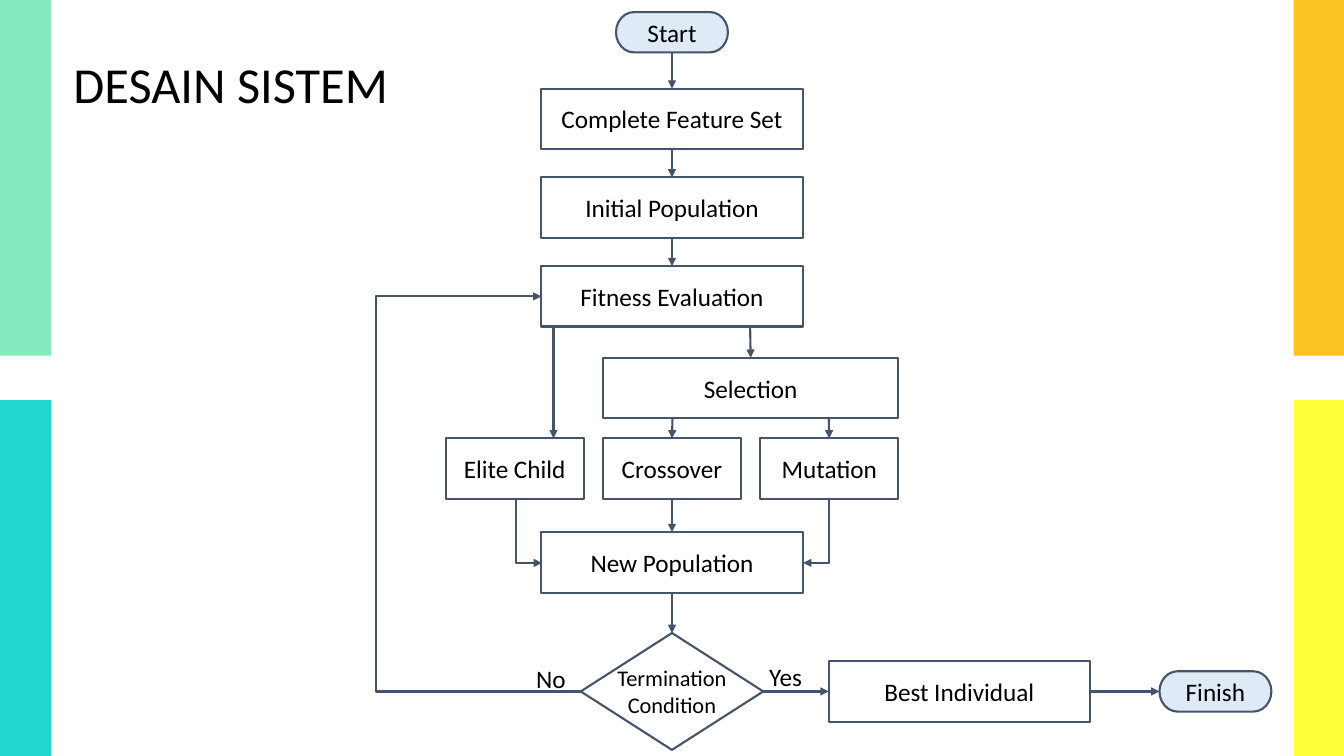
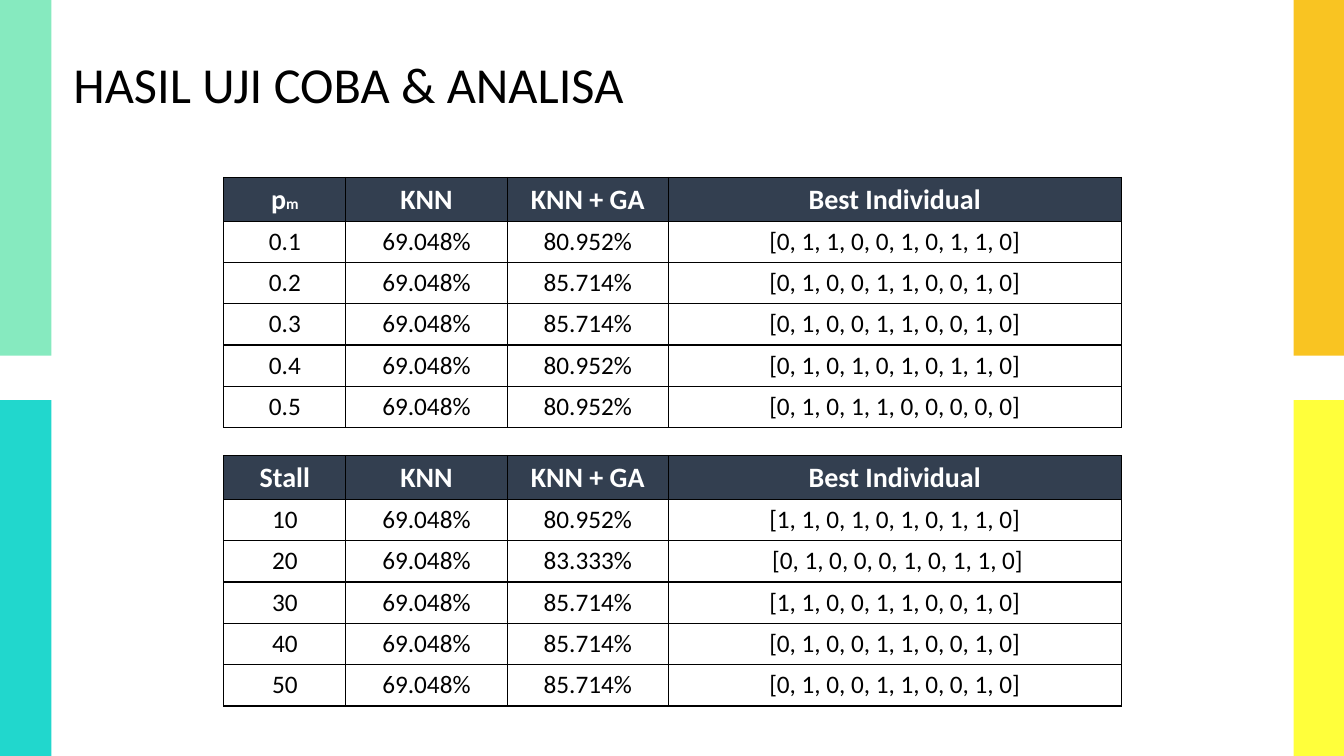
"""Build two slides: a feature selection flowchart and its test result tables."""
from lxml.etree import SubElement
from pptx import Presentation
from pptx.dml.color import RGBColor
from pptx.enum.shapes import MSO_CONNECTOR, MSO_SHAPE
from pptx.enum.text import MSO_ANCHOR, PP_ALIGN
from pptx.oxml.ns import qn
from pptx.util import Inches, Pt

FONT = "Calibri"
BLACK, WHITE = "000000", "FFFFFF"
OUTLINE, TERMINATOR_FILL, HEADER_FILL = "44546A", "DEEBF7", "333F50"
BANDS = [
    (0, 0, "86EABF"),
    (0, 3.97, "21D7CD"),
    (12.83, 0, "F9C422"),
    (12.83, 3.97, "FFFF3B"),
]


def write_text(text_frame, text, size, alignment=PP_ALIGN.CENTER, color=BLACK, bold=False):
    """Fill a text frame and set the font of its paragraphs."""
    text_frame.text = text
    for paragraph in text_frame.paragraphs:
        paragraph.alignment = alignment
        paragraph.font.name = FONT
        paragraph.font.size = Pt(size)
        paragraph.font.bold = bold
        paragraph.font.color.rgb = RGBColor.from_string(color)


def add_arrow(slide, kind, start, end):
    """Add a connector with an arrowhead at its end."""
    arrow = slide.shapes.add_connector(kind, *[Inches(value) for value in (*start, *end)])
    arrow.line.color.rgb = RGBColor.from_string(OUTLINE)
    arrow.line.width = Pt(1.5)
    properties = arrow._element.spPr
    SubElement(properties.find(qn("a:ln")), qn("a:tailEnd"), type="triangle")
    SubElement(properties, qn("a:effectLst"))
    return arrow


presentation = Presentation()
presentation.slide_width = Inches(13.33)
presentation.slide_height = Inches(7.5)

slides = []
for title, title_width in [("DESAIN SISTEM", 8.23), ("HASIL UJI COBA & ANALISA", 11.79)]:
    slide = presentation.slides.add_slide(presentation.slide_layouts[6])
    slides.append(slide)
    for left, top, color in BANDS:
        band = slide.shapes.add_shape(
            MSO_SHAPE.RECTANGLE, Inches(left), Inches(top), Inches(0.51), Inches(3.53))
        band.shadow.inherit = False
        band.fill.solid()
        band.fill.fore_color.rgb = RGBColor.from_string(color)
        band.line.fill.background()
    title_box = slide.shapes.add_textbox(
        Inches(0.63), Inches(0.51), Inches(title_width), Inches(0.73))
    title_frame = title_box.text_frame
    title_frame.word_wrap = True
    title_frame.vertical_anchor = MSO_ANCHOR.BOTTOM
    title_frame.margin_top = title_frame.margin_bottom = Inches(0.1)
    write_text(title_frame, title, 36, PP_ALIGN.JUSTIFY)
    title_frame.paragraphs[0].line_spacing = 0.9

flowchart_slide, results_slide = slides

STEP, END, DECISION = (
    MSO_SHAPE.RECTANGLE, MSO_SHAPE.FLOWCHART_TERMINATOR, MSO_SHAPE.FLOWCHART_DECISION)
NODES = [
    ("Start", END, 6.11, 0.12, 1.11, 0.4),
    ("Complete Feature Set", STEP, 5.37, 0.88, 2.59, 0.6),
    ("Initial Population", STEP, 5.37, 1.76, 2.59, 0.6),
    ("Fitness Evaluation", STEP, 5.37, 2.64, 2.59, 0.6),
    ("Selection", STEP, 5.98, 3.55, 2.93, 0.6),
    ("Elite Child", STEP, 4.42, 4.35, 1.37, 0.6),
    ("Crossover", STEP, 5.98, 4.35, 1.37, 0.6),
    ("Mutation", STEP, 7.54, 4.35, 1.37, 0.6),
    ("New Population", STEP, 5.37, 5.28, 2.59, 0.6),
    ("Termination\nCondition", DECISION, 5.76, 6.28, 1.81, 1.16),
    ("Best Individual", STEP, 8.22, 6.56, 2.59, 0.6),
    ("Finish", END, 11.5, 6.66, 1.11, 0.4),
]
nodes = {}
for text, preset, *box in NODES:
    node = flowchart_slide.shapes.add_shape(preset, *[Inches(value) for value in box])
    nodes[text] = node
    node.shadow.inherit = False
    if preset == END:
        node.fill.solid()
        node.fill.fore_color.rgb = RGBColor.from_string(TERMINATOR_FILL)
    else:
        node.fill.background()
    node.line.color.rgb = RGBColor.from_string(OUTLINE)
    node.line.width = Pt(1.5)
    node.text_frame.word_wrap = False
    node.text_frame.vertical_anchor = MSO_ANCHOR.MIDDLE
    write_text(node.text_frame, text, 16 if preset == DECISION else 18)

TOP, LEFT, BOTTOM, RIGHT = range(4)
JOINED = [
    ("Start", BOTTOM, "Complete Feature Set", TOP),
    ("Complete Feature Set", BOTTOM, "Initial Population", TOP),
    ("Initial Population", BOTTOM, "Fitness Evaluation", TOP),
    ("Crossover", BOTTOM, "New Population", TOP),
    ("New Population", BOTTOM, "Termination\nCondition", TOP),
    ("Termination\nCondition", RIGHT, "Best Individual", LEFT),
    ("Best Individual", RIGHT, "Finish", LEFT),
]
for source, source_side, target, target_side in JOINED:
    arrow = add_arrow(flowchart_slide, MSO_CONNECTOR.STRAIGHT, (0, 0), (1, 1))
    arrow.begin_connect(nodes[source], source_side)
    arrow.end_connect(nodes[target], target_side)

for x, top, bottom, target in [
    (7.44, 3.24, 3.55, "Selection"),
    (6.67, 4.15, 4.35, "Crossover"),
    (8.22, 4.15, 4.35, "Mutation"),
]:
    arrow = add_arrow(flowchart_slide, MSO_CONNECTOR.STRAIGHT, (x, top), (x, bottom))
    arrow.end_connect(nodes[target], TOP)
add_arrow(flowchart_slide, MSO_CONNECTOR.STRAIGHT, (5.49, 3.24), (5.49, 4.35))

for start, end, degrees in [((5.56, 5.14), (4.93, 5.4), 270), ((7.78, 5.14), (8.41, 5.4), 90)]:
    corner = add_arrow(flowchart_slide, MSO_CONNECTOR.ELBOW, start, end)
    corner._element.spPr.find(qn("a:xfrm")).set("rot", str(degrees * 60000))
    corner._element.spPr.find(qn("a:prstGeom")).set("prst", "bentConnector2")

loop = add_arrow(flowchart_slide, MSO_CONNECTOR.ELBOW, (5.76, 6.86), (5.37, 2.94))
loop.begin_connect(nodes["Termination\nCondition"], LEFT)
loop.end_connect(nodes["Fitness Evaluation"], LEFT)
adjustments = loop._element.spPr.find(qn("a:prstGeom")).find(qn("a:avLst"))
SubElement(adjustments, qn("a:gd"), name="adj1", fmla="val 520000")

for text, left, top, width in [("Yes", 7.53, 6.51, 0.53), ("No", 5.22, 6.53, 0.5)]:
    label = flowchart_slide.shapes.add_textbox(
        Inches(left), Inches(top), Inches(width), Inches(0.4))
    label.text_frame.word_wrap = False
    write_text(label.text_frame, text, 18, PP_ALIGN.LEFT)

COLUMN_WIDTHS = [1.21, 1.6, 1.6, 4.49]
HEADINGS = ["KNN", "KNN + GA", "Best Individual"]
BASELINE = "69.048%"
TABLES = [
    (1.76, "p", [
        ("0.1", "80.952%", "[0, 1, 1, 0, 0, 1, 0, 1, 1, 0]"),
        ("0.2", "85.714%", "[0, 1, 0, 0, 1, 1, 0, 0, 1, 0]"),
        ("0.3", "85.714%", "[0, 1, 0, 0, 1, 1, 0, 0, 1, 0]"),
        ("0.4", "80.952%", "[0, 1, 0, 1, 0, 1, 0, 1, 1, 0]"),
        ("0.5", "80.952%", "[0, 1, 0, 1, 1, 0, 0, 0, 0, 0]"),
    ]),
    (4.52, "Stall", [
        ("10", "80.952%", "[1, 1, 0, 1, 0, 1, 0, 1, 1, 0]"),
        ("20", "83.333%", " [0, 1, 0, 0, 0, 1, 0, 1, 1, 0]"),
        ("30", "85.714%", "[1, 1, 0, 0, 1, 1, 0, 0, 1, 0]"),
        ("40", "85.714%", "[0, 1, 0, 0, 1, 1, 0, 0, 1, 0]"),
        ("50", "85.714%", "[0, 1, 0, 0, 1, 1, 0, 0, 1, 0]"),
    ]),
]
tables = []
for top, parameter, results in TABLES:
    rows = [[parameter, *HEADINGS]]
    rows += [[value, BASELINE, accuracy, best] for value, accuracy, best in results]
    table = results_slide.shapes.add_table(
        len(rows), len(COLUMN_WIDTHS), Inches(2.22), Inches(top),
        Inches(sum(COLUMN_WIDTHS)), Inches(0.41 * len(rows))).table
    tables.append(table)
    table.horz_banding = False
    for column, width in zip(table.columns, COLUMN_WIDTHS):
        column.width = Inches(width)
    for row_index, row in enumerate(rows):
        for column_index, text in enumerate(row):
            cell = table.cell(row_index, column_index)
            cell_properties = cell._tc.get_or_add_tcPr()
            for side in ("lnL", "lnR", "lnT", "lnB"):
                border = SubElement(cell_properties, qn(f"a:{side}"), w=str(Pt(1)))
                SubElement(SubElement(border, qn("a:solidFill")), qn("a:srgbClr"), val=BLACK)
            if row_index == 0:
                cell.fill.solid()
                cell.fill.fore_color.rgb = RGBColor.from_string(HEADER_FILL)
                write_text(cell.text_frame, text, 20, color=WHITE, bold=True)
            else:
                cell.fill.background()
                write_text(cell.text_frame, text, 18)

subscript = tables[0].cell(0, 0).text_frame.paragraphs[0].add_run()
subscript.text = "m"
subscript.font.size = Pt(11)

presentation.save("out.pptx")
